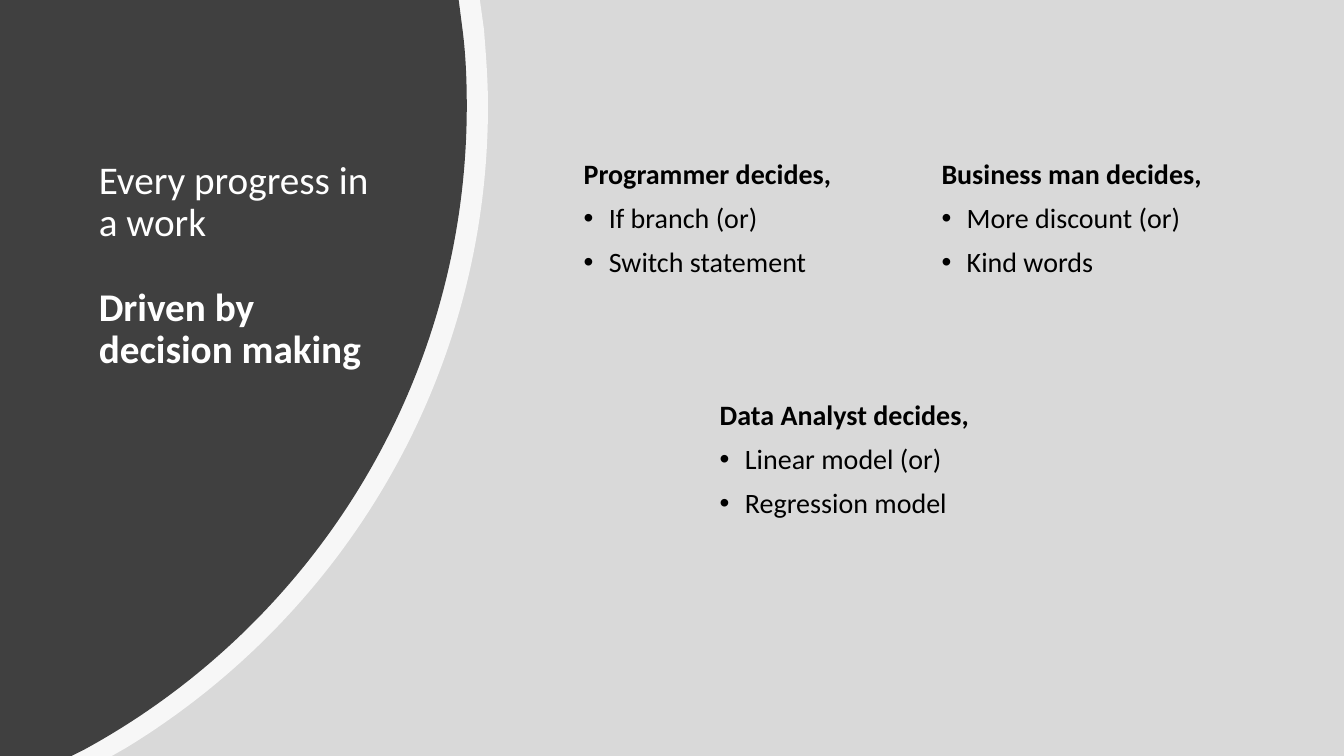
from copy import deepcopy

from lxml import etree
from pptx import Presentation
from pptx.dml.color import RGBColor
from pptx.enum import shapes, text
from pptx.oxml.ns import qn
from pptx.util import Inches, Pt


def rgb(color):
    return RGBColor.from_string(color)


class SlideBuilder:
    FONT = "Calibri"

    def __init__(self, prs):
        self.s = prs.slides.add_slide(prs.slide_layouts[5])

    def paint(self, sp, color, opacity=100):
        sp.shadow.inherit = False
        sp.line.fill.background()
        sp.fill.solid()
        sp.fill.fore_color.rgb = rgb(color)
        if opacity < 100:
            clr = sp.fill._xPr.find(qn("a:solidFill"))[0]
            etree.SubElement(clr, qn("a:alpha"), val=str(opacity * 1000))

    def rectangle(self, left, top, width, height, color):
        sp = self.s.shapes.add_shape(shapes.MSO_SHAPE.RECTANGLE, Inches(left),
                                     Inches(top), Inches(width), Inches(height))
        self.paint(sp, color)

    def outline(self, segments, color, opacity=100):
        """Draw from the slide corner; a segment of three points is a Bezier curve."""
        ends = [(Inches(x), Inches(y)) for *_, (x, y) in segments]
        builder = self.s.shapes.build_freeform(0, 0)
        builder.add_line_segments(ends, close=True)
        sp = builder.convert_to_shape()
        lines = list(sp._element.iter(qn("a:lnTo")))
        for line, (*controls, _) in zip(lines, segments):
            if controls:
                bend = etree.Element(qn("a:cubicBezTo"))
                for x, y in controls:
                    etree.SubElement(bend, qn("a:pt"),
                                     x=str(Inches(x)), y=str(Inches(y)))
                bend.append(line[0])
                line.getparent().replace(line, bend)
        self.paint(sp, color, opacity)

    def run(self, p, words, size, color, bold=False):
        r = p.add_run()
        r.text = words
        r.font.name = self.FONT
        r.font.size = Pt(size)
        r.font.bold = bold
        r.font.color.rgb = rgb(color)
        return r

    def frame(self, sp):
        tf = sp.text_frame
        tf.word_wrap = True
        tf.auto_size = text.MSO_AUTO_SIZE.NONE
        tf.vertical_anchor = text.MSO_ANCHOR.TOP
        return tf

    def title(self, left, top, width, height, opening, closing):
        sp = self.s.shapes.title
        self.s.shapes._spTree.append(sp._element)  # bring in front of the panels
        sp.left, sp.top = Inches(left), Inches(top)
        sp.width, sp.height = Inches(width), Inches(height)
        p = self.frame(sp).paragraphs[0]
        p.alignment = text.PP_ALIGN.LEFT
        p.line_spacing = 0.9
        r = self.run(p, opening, 28, "FFFFFF")
        for _ in range(2):
            p.add_line_break()
        for br in p._p.findall(qn("a:br")):
            br.append(deepcopy(r._r.rPr))
        self.run(p, closing, 28, "FFFFFF", bold=True)

    def decision(self, left, top, width, height, heading, options):
        sp = self.s.shapes.add_textbox(Inches(left), Inches(top),
                                       Inches(width), Inches(height))
        tf = self.frame(sp)
        for i, words in enumerate([heading, *options]):
            p = tf.add_paragraph() if i else tf.paragraphs[0]
            p.line_spacing = 0.9
            p.space_before = Pt(10)
            self.run(p, words, 20, "000000", bold=i == 0)
            if i:
                self.bullet(p)

    def bullet(self, p):
        pPr = p._p.get_or_add_pPr()
        pPr.set("marL", str(Inches(0.25)))
        pPr.set("indent", str(-Inches(0.25)))
        etree.SubElement(pPr, qn("a:buFont"), typeface="Arial")
        etree.SubElement(pPr, qn("a:buChar"), char="•")


def main():
    prs = Presentation()
    prs.slide_width, prs.slide_height = Inches(13.33), Inches(7.5)
    b = SlideBuilder(prs)

    b.rectangle(0, 0, 13.33, 7.5, "D9D9D9")
    b.outline([[(4.76, 0)], [(4.8, 0.29)],
               [(4.82, 0.54), (4.84, 0.8), (4.84, 1.05)],
               [(4.84, 3.75), (3.4, 6.11), (1.25, 7.42)],
               [(1.11, 7.5)], [(0, 7.5)]], "FFFFFF", 80)
    b.outline([[(4.55, 0)], [(4.59, 0.31)],
               [(4.62, 0.55), (4.63, 0.8), (4.63, 1.05)],
               [(4.63, 3.81), (3.09, 6.21), (0.83, 7.44)],
               [(0.71, 7.5)], [(0, 7.5)]], "404040")

    b.title(0.88, 1.54, 3.14, 2.36,
            "Every progress in a work ", "Driven by decision making")
    b.decision(5.69, 1.54, 3.2, 4.77, "Programmer decides,",
               ["If branch (or)", "Switch statement"])
    b.decision(9.24, 1.54, 3.2, 4.77, "Business man decides,",
               ["More discount (or)", "Kind words"])
    b.decision(7.04, 3.93, 2.74, 3.44, "Data Analyst decides,",
               ["Linear model (or)", "Regression model"])
    prs.save("out.pptx")


if __name__ == "__main__":
    main()
